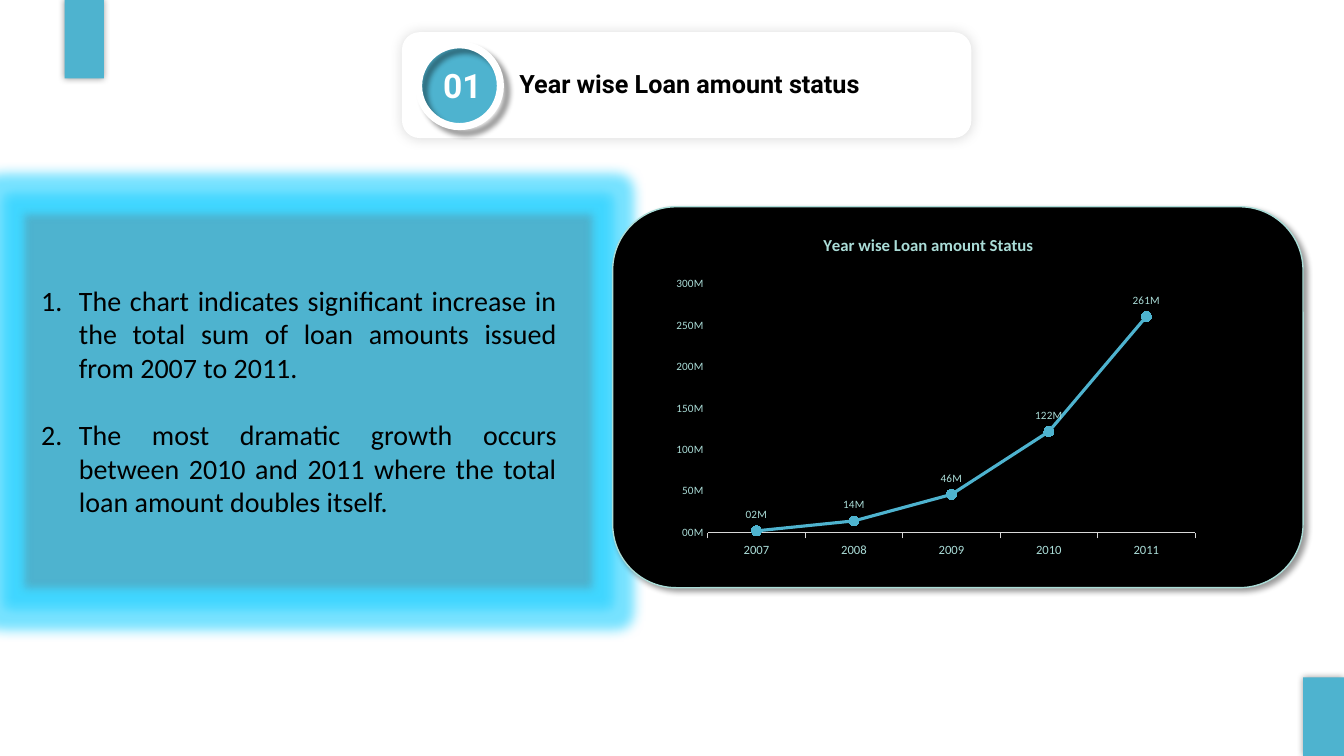
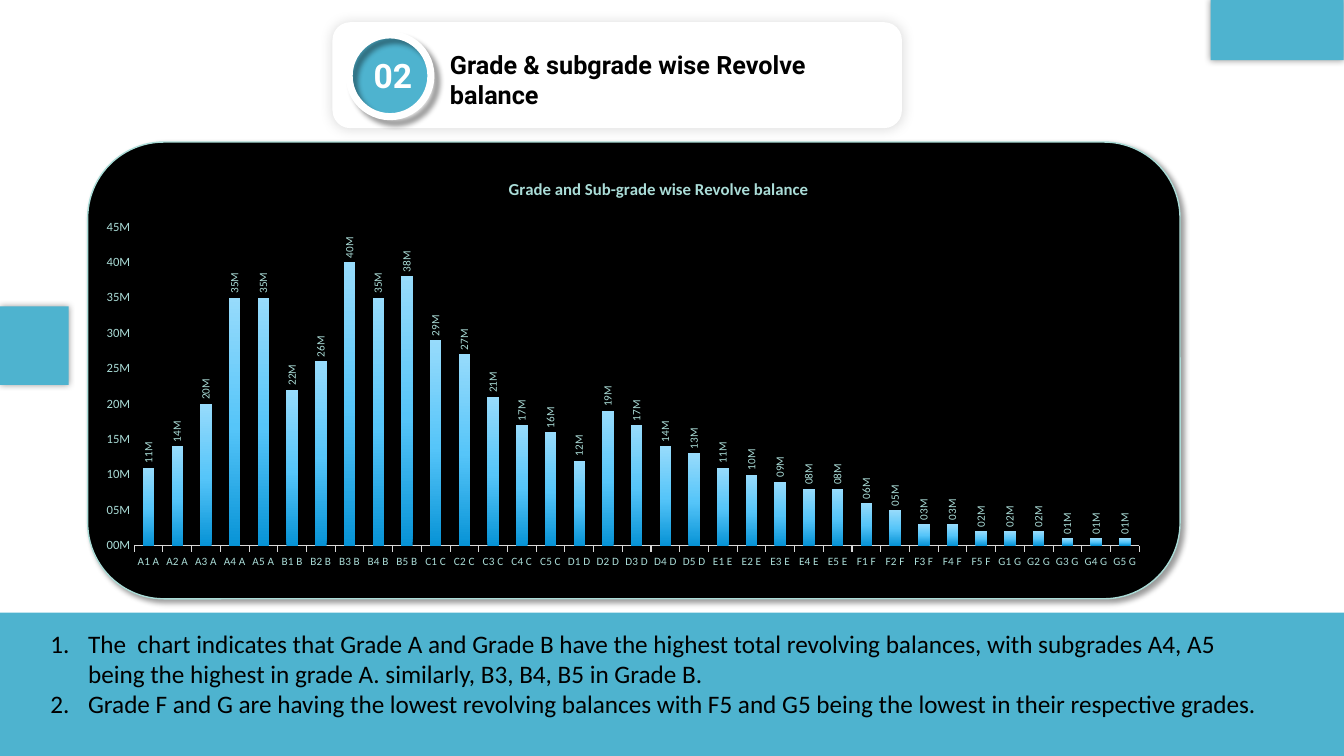
from lxml.etree import SubElement
from pptx import Presentation
from pptx.chart.data import CategoryChartData
from pptx.dml.color import RGBColor
from pptx.enum.chart import XL_CHART_TYPE as ChartType
from pptx.enum.chart import XL_LABEL_POSITION as LabelPos
from pptx.enum.chart import XL_MARKER_STYLE as Marker
from pptx.enum.chart import XL_TICK_MARK as Tick
from pptx.enum.shapes import MSO_SHAPE as Preset
from pptx.enum.text import PP_ALIGN as Align
from pptx.oxml import parse_xml
from pptx.oxml.ns import nsdecls, qn
from pptx.util import Cm, Pt

TEAL, MINT, WHITE, BLACK = "4EB3CF", "AADCD7", "FFFFFF", "000000"
AXIS_GREY, GLOW = "D9D9D9", "1CCFFF"
BAR_STOPS = [(0, "0793D6"), (48, "56C5F9"), (100, "97DBFB")]
BODY, HEADING = "Calibri", "Roboto"
MILLIONS = '00,,"M"'

# Shadows: opacity %, blur pt, distance pt, angle in degrees
CARD_SHADOW, ACCENT_SHADOW = (15, 9, 0, 0), (40, 5, 0, 0)
RING_SHADOW, CHART_SHADOW = (40, 4, 6, 45), (40, 4, 3, 45)

GRADE_BALANCES = {
    "A": (11, 14, 20, 35, 35),
    "B": (22, 26, 40, 35, 38),
    "C": (29, 27, 21, 17, 16),
    "D": (12, 19, 17, 14, 13),
    "E": (11, 10, 9, 8, 8),
    "F": (6, 5, 3, 3, 2),
    "G": (2, 2, 1, 1, 1),
}

# Boxes are left, top, width, height in cm; chart values are in millions
SLIDES = [
    {
        "number": "01",
        "title": "Year wise Loan amount status",
        "card": (10.13, 0.81),
        "title_drop": 0.79,
        "panel": (0.43, 5.21, 14.71, 9.83),
        "glowing": True,
        "chart_panel": (15.44, 5.21, 17.4, 9.6),
        "chart": {
            "kind": ChartType.LINE_MARKERS,
            "box": (16.26, 5.44, 15.75, 9.07),
            "title": "Year wise Loan amount Status",
            "title_at": (0.28, 0.04),
            "plot": (0.1, 0.19, 0.78, 0.69),
            "values": {"2007": 2, "2008": 14, "2009": 46, "2010": 122, "2011": 261},
            "scale": (300, 50),
            "axis_sizes": (9, 8),
        },
        "notes": {
            "box": (0.79, 7.01, 13.49, 6.25),
            "size": 20,
            "gap": 24,
            "align": Align.JUSTIFY,
            "points": [
                "The chart indicates significant increase in the total sum of "
                "loan amounts issued from 2007 to 2011.",
                "The most dramatic growth occurs between 2010 and 2011 where "
                "the total loan amount doubles itself.",
            ],
        },
        "accents": [(32.84, 17.07, 1.03, 1.98), (1.63, 0, 0.99, 1.98)],
    },
    {
        "number": "02",
        "title": "Grade & subgrade wise Revolve balance",
        "card": (8.38, 0.56),
        "title_drop": 0.56,
        "panel": (0, 15.44, 33.87, 3.61),
        "glowing": False,
        "chart_panel": (2.21, 3.58, 27.53, 11.51),
        "chart": {
            "kind": ChartType.COLUMN_CLUSTERED,
            "box": (1.73, 3.96, 27.53, 11),
            "title": "Grade and Sub-grade wise Revolve balance",
            "title_at": (0.4, 0.04),
            "plot": (0.06, 0.16, 0.92, 0.73),
            "values": {
                f"{grade}{level} {grade}": balance
                for grade, balances in GRADE_BALANCES.items()
                for level, balance in enumerate(balances, 1)
            },
            "scale": (45, 5),
            "axis_sizes": (8, 9),
        },
        "notes": {
            "box": (1.02, 15.7, 31.34, 2.57),
            "size": 18,
            "gap": 0,
            "align": Align.LEFT,
            "points": [
                "The  chart indicates that Grade A and Grade B have the highest "
                "total revolving balances, with subgrades A4, A5 being the highest "
                "in grade A. similarly, B3, B4, B5 in Grade B.",
                "Grade F and G are having the lowest revolving balances with F5 "
                "and G5 being the lowest in their respective grades.",
            ],
        },
        "accents": [(30.51, 0, 3.35, 1.52), (0, 7.72, 1.73, 1.98)],
    },
]


def rgb(color):
    return RGBColor.from_string(color)


def cm_box(box):
    return [Cm(length) for length in box]


def style_font(font, size, color, name=BODY, bold=False):
    font.size, font.name, font.bold = Pt(size), name, bold
    font.color.rgb = rgb(color)


def add_effect(shape, tag, color=None, alpha=100, **attributes):
    effects = shape._element.spPr.find(qn("a:effectLst"))
    effect = SubElement(effects, qn(tag), {k: str(v) for k, v in attributes.items()})
    if color:
        tint = SubElement(effect, qn("a:srgbClr"), val=color)
        SubElement(tint, qn("a:alpha"), val=str(alpha * 1000))


def add_block(shapes, preset, box, fill, line=None, shadow=None):
    block = shapes.add_shape(preset, *cm_box(box))
    block.shadow.inherit = False
    block.fill.solid()
    block.fill.fore_color.rgb = rgb(fill)
    if line:
        block.line.color.rgb = rgb(line)
        block.line.width = Pt(1)
    else:
        block.line.fill.background()
    if shadow:
        opacity, blur, distance, angle = shadow
        add_effect(block, "a:outerShdw", BLACK, opacity, blurRad=Pt(blur),
                   dist=Pt(distance), dir=angle * 60000, algn="ctr", rotWithShape=0)
    return block


def add_text_frame(shapes, box):
    frame = shapes.add_textbox(*cm_box(box)).text_frame
    frame.word_wrap = True
    return frame


def add_heading(shapes, text, box, size, color, align):
    paragraph = add_text_frame(shapes, box).paragraphs[0]
    paragraph.alignment = align
    run = paragraph.add_run()
    run.text = text
    style_font(run.font, size, color, HEADING, True)


def add_header(slide, content):
    """Draw the title card with its numbered badge."""
    left, top = content["card"]
    add_block(slide.shapes, Preset.ROUNDED_RECTANGLE, (left, top, 14.35, 2.67),
              WHITE, shadow=CARD_SHADOW)
    add_heading(slide.shapes, content["title"],
                (left + 2.71, top + content["title_drop"], 11.23, 1.02),
                18, BLACK, Align.LEFT)
    badge = slide.shapes.add_group_shape().shapes
    add_block(badge, Preset.OVAL, (left + 0.48, top + 0.38, 1.93, 1.93), TEAL)
    ring = add_block(badge, Preset.DONUT, (left + 0.33, top + 0.23, 2.24, 2.24),
                     WHITE, shadow=RING_SHADOW)
    ring.adjustments[0] = 0.08
    add_heading(badge, content["number"], (left + 0.61, top + 0.71, 1.83, 1.27),
                24, WHITE, Align.CENTER)


def set_layout(parent, position, before, inner=False):
    """Fix a chart part at fractions of the chart area."""
    target = '<c:layoutTarget val="inner"/>' if inner else ""
    modes = "".join(f'<c:{axis}Mode val="edge"/>' for axis in "xy")
    places = "".join(f'<c:{side} val="{value}"/>' for side, value in zip("xywh", position))
    for old in parent.findall(qn("c:layout")):
        parent.remove(old)
    parent.find(qn(before)).addprevious(parse_xml(
        f'<c:layout {nsdecls("c")}><c:manualLayout>{target}{modes}{places}'
        "</c:manualLayout></c:layout>"))


def style_line(series):
    series.smooth = False
    series.format.line.color.rgb = rgb(TEAL)
    series.format.line.width = Pt(2.25)
    series.marker.style = Marker.CIRCLE
    series.marker.size = 7
    series.marker.format.fill.solid()
    series.marker.format.fill.fore_color.rgb = rgb(TEAL)
    series.marker.format.line.color.rgb = rgb(TEAL)
    series.data_labels.position = LabelPos.ABOVE


def style_bars(series):
    series.format.fill.gradient()
    gradient = series._element.spPr.find(qn("a:gradFill"))
    stops = "".join(f'<a:gs pos="{at * 1000}"><a:srgbClr val="{color}"/></a:gs>'
                    for at, color in BAR_STOPS)
    gradient.getparent().replace(gradient, parse_xml(
        f'<a:gradFill {nsdecls("a")}><a:gsLst>{stops}</a:gsLst>'
        '<a:lin ang="16200000" scaled="0"/></a:gradFill>'))
    labels = series.data_labels
    labels.position = LabelPos.OUTSIDE_END
    text_body = labels._element.find(qn("c:txPr")).find(qn("a:bodyPr"))
    text_body.set("rot", "-5400000")
    text_body.set("vert", "horz")


def add_amount_chart(slide, content):
    data = CategoryChartData(number_format=MILLIONS)
    data.categories = list(content["values"])
    data.add_series("Series 1", [value * 10**6 for value in content["values"].values()])
    chart = slide.shapes.add_chart(content["kind"], *cm_box(content["box"]), data).chart
    style_font(chart.font, 10, MINT)
    chart.has_legend = False
    chart._chartSpace.find(qn("c:chart")).addnext(parse_xml(
        f'<c:spPr {nsdecls("c", "a")}><a:noFill/><a:ln><a:noFill/></a:ln></c:spPr>'))

    run = chart.chart_title.text_frame.paragraphs[0].add_run()
    run.text = content["title"]
    style_font(run.font, 12, MINT, bold=True)
    chart.chart_title.include_in_layout = False
    set_layout(chart.chart_title._element, content["title_at"], "c:overlay")

    categories, amounts = chart.category_axis, chart.value_axis
    for axis, size in zip((categories, amounts), content["axis_sizes"]):
        style_font(axis.tick_labels.font, size, MINT)
        axis.has_major_gridlines = False
    categories.major_tick_mark = Tick.OUTSIDE
    categories.format.line.color.rgb = rgb(AXIS_GREY)
    categories.format.line.width = Pt(0.75)
    amounts.major_tick_mark = Tick.NONE
    amounts.format.line.fill.background()
    amounts.tick_labels.number_format = MILLIONS
    amounts.tick_labels.number_format_is_linked = False
    top, step = content["scale"]
    amounts.minimum_scale = 0
    amounts.maximum_scale, amounts.major_unit = top * 10**6, step * 10**6

    plot = chart.plots[0]
    plot.vary_by_categories = False
    series = plot.series[0]
    labels = series.data_labels
    labels.show_value = True
    labels.number_format, labels.number_format_is_linked = MILLIONS, False
    style_font(labels.font, 8, MINT)
    if content["kind"] == ChartType.LINE_MARKERS:
        style_line(series)
    else:
        plot.gap_width = 150
        style_bars(series)
    plot_area = plot._element.getparent()
    set_layout(plot_area, content["plot"], plot._element.tag.replace(
        "{" + plot._element.nsmap["c"] + "}", "c:"), inner=True)


def add_notes_list(slide, content):
    frame = add_text_frame(slide.shapes, content["box"])
    for index, point in enumerate(content["points"]):
        paragraph = frame.add_paragraph() if index else frame.paragraphs[0]
        paragraph.alignment = content["align"]
        if index:
            paragraph.space_before = Pt(content["gap"])
        properties = paragraph._p.get_or_add_pPr()
        properties.set("marL", str(Cm(0.95)))
        properties.set("indent", str(-Cm(0.95)))
        SubElement(properties, qn("a:buFont"), typeface="+mj-lt")
        SubElement(properties, qn("a:buAutoNum"), type="arabicPeriod")
        run = paragraph.add_run()
        run.text = point
        style_font(run.font, content["size"], BLACK)


def build_slide(deck, content):
    slide = deck.slides.add_slide(deck.slide_layouts[6])
    panel = add_block(slide.shapes, Preset.RECTANGLE, content["panel"], TEAL)
    if content["glowing"]:
        add_effect(panel, "a:glow", GLOW, 60, rad=Pt(18))
        add_effect(panel, "a:softEdge", rad=Pt(5))
    add_header(slide, content)
    add_block(slide.shapes, Preset.ROUNDED_RECTANGLE, content["chart_panel"],
              BLACK, MINT, CHART_SHADOW)
    add_amount_chart(slide, content["chart"])
    add_notes_list(slide, content["notes"])
    for box in content["accents"]:
        add_block(slide.shapes, Preset.RECTANGLE, box, TEAL, shadow=ACCENT_SHADOW)


def main():
    deck = Presentation()
    deck.slide_width, deck.slide_height = Cm(33.87), Cm(19.05)
    for content in SLIDES:
        build_slide(deck, content)
    deck.save("out.pptx")


if __name__ == "__main__":
    main()
